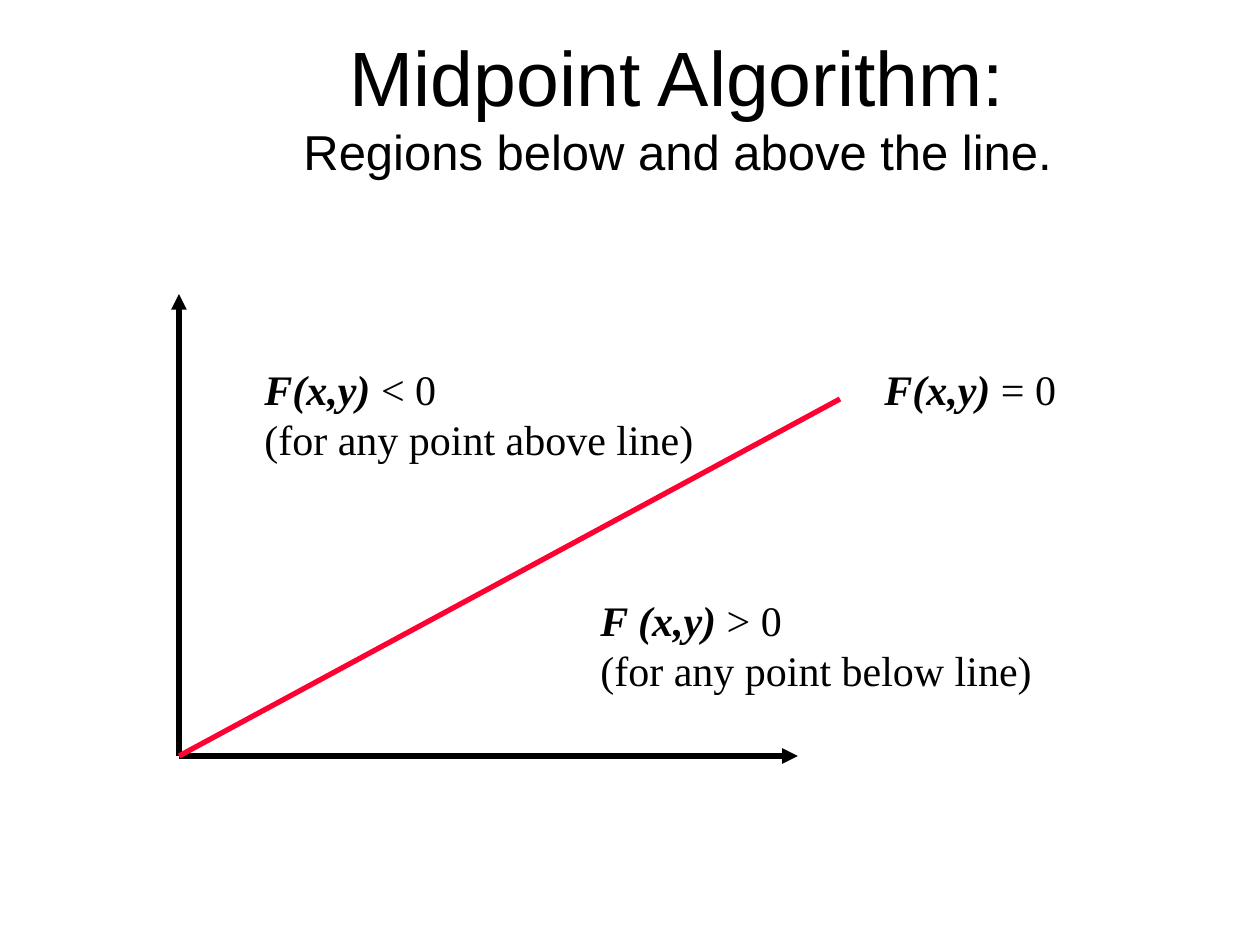
from lxml.etree import SubElement
from pptx import Presentation
from pptx.dml.color import RGBColor
from pptx.enum.shapes import MSO_CONNECTOR
from pptx.enum.text import MSO_ANCHOR, MSO_AUTO_SIZE, PP_ALIGN
from pptx.oxml.ns import qn
from pptx.util import Emu, Pt

PX_PER_INCH = 126
BLACK, RED = "000000", "FF0033"


def px(length):
    return Emu(round(length * 914400 / PX_PER_INCH))


def color(hex_string):
    return RGBColor.from_string(hex_string)


class Diagram:
    """Holds the text style, the slide and the group the graph is drawn in."""
    title_font = "Arial"
    label_font = "Times New Roman"
    label_size = 24
    line_width = 3

    def __init__(self, slide):
        self.slide = slide
        self.graph = slide.shapes.add_group_shape()

    def style(self, run, font, size, bold=False, italic=False):
        run.font.name = font
        run.font.size = Pt(size)
        run.font.bold = bold
        run.font.italic = italic
        run.font.color.rgb = color(BLACK)

    def title(self, bounds, lines):
        """Place the title; lines holds (text, size) pairs."""
        title = self.slide.shapes.title
        title.left, title.top, title.width, title.height = map(px, bounds)
        frame = title.text_frame
        frame.text = "\v".join(text for text, _ in lines)
        frame.auto_size = MSO_AUTO_SIZE.NONE
        frame.vertical_anchor = MSO_ANCHOR.MIDDLE
        para = frame.paragraphs[0]
        para.alignment = PP_ALIGN.CENTER
        for run, (_, size) in zip(para.runs, lines):
            self.style(run, self.title_font, size)

    def line(self, start, end, hex_string, arrow=False):
        connector = self.graph.shapes.add_connector(
            MSO_CONNECTOR.STRAIGHT, *map(px, start + end))
        connector.line.color.rgb = color(hex_string)
        connector.line.width = Pt(self.line_width)
        properties = connector._element.spPr
        if arrow:
            SubElement(properties.find(qn("a:ln")), qn("a:tailEnd"),
                       type="triangle")
        SubElement(properties, qn("a:effectLst"))

    def label(self, bounds, function, relation, note=None):
        """Write a bold italic function, its relation and a note below."""
        box = self.graph.shapes.add_textbox(*map(px, bounds))
        frame = box.text_frame
        frame.word_wrap = True
        frame.auto_size = MSO_AUTO_SIZE.SHAPE_TO_FIT_TEXT
        para = frame.paragraphs[0]
        for text, strong in ((function + " ", True), (relation, False)):
            run = para.add_run()
            run.text = text
            self.style(run, self.label_font, self.label_size, strong, strong)
        if note:
            para = frame.add_paragraph()
            para.text = note
            self.style(para.runs[0], self.label_font, self.label_size)


def main():
    deck = Presentation()
    deck.slide_width, deck.slide_height = px(1260), px(945)
    diagram = Diagram(deck.slides.add_slide(deck.slide_layouts[5]))

    diagram.title((273, 42, 809, 126), [
        ("Midpoint Algorithm:", 44),
        ("Regions below and above the line.", 28),
    ])

    origin = (179, 756)
    diagram.line(origin, (798, 756), BLACK, arrow=True)
    diagram.line(origin, (179, 294), BLACK, arrow=True)
    diagram.line(origin, (840, 399), RED)

    diagram.label((588, 588, 483, 113), "F (x,y)", "> 0",
                  "(for any point below line)")
    diagram.label((252, 357, 462, 113), "F(x,y)", "< 0",
                  "(for any point above line)")
    diagram.label((872, 357, 242, 63), "F(x,y)", "= 0")

    deck.save("out.pptx")


if __name__ == "__main__":
    main()
